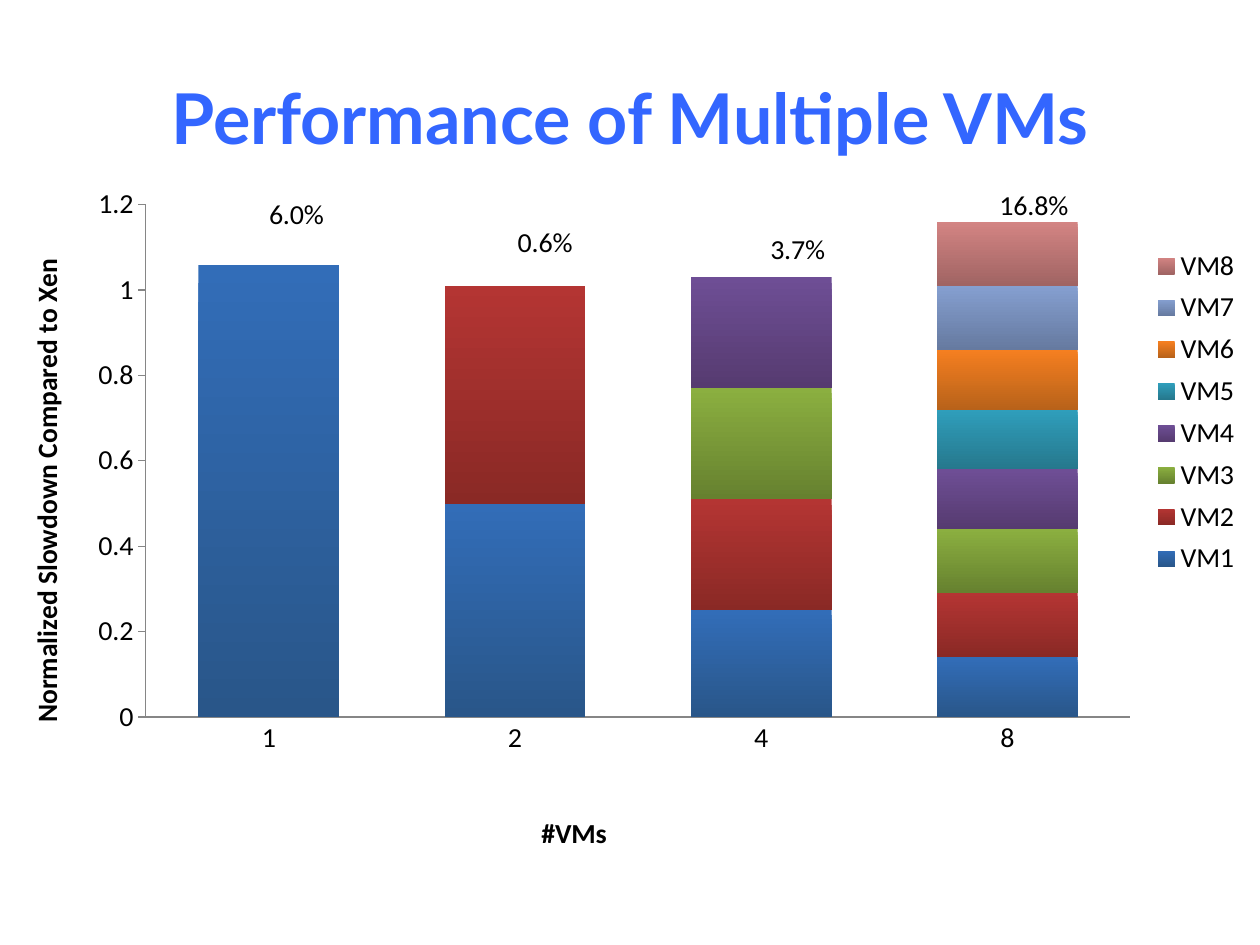
from lxml.etree import SubElement
from pptx import Presentation
from pptx.chart.data import CategoryChartData as ChartData
from pptx.dml.color import RGBColor
from pptx.enum.chart import XL_CHART_TYPE as ChartType
from pptx.enum.chart import XL_LEGEND_POSITION as LegendPosition
from pptx.enum.chart import XL_TICK_MARK as TickMark
from pptx.enum.text import MSO_ANCHOR as Anchor, PP_ALIGN as Align
from pptx.oxml import parse_xml
from pptx.oxml.ns import nsdecls, qn
from pptx.util import Inches, Pt

BLACK = RGBColor(0x00, 0x00, 0x00)
TITLE_BLUE = RGBColor(0x33, 0x66, 0xFF)
AXIS_GRAY = RGBColor(0x86, 0x86, 0x86)

VM_COUNTS = [1, 2, 4, 8]
# One row per VM: slowdown share for each VM count, top and bottom gradient colours
VM_SERIES = [
    ([1.06, 0.5, 0.25, 0.14], "326DB8", "295689"),
    ([0, 0.51, 0.26, 0.15], "B43533", "8A2925"),
    ([0, 0, 0.26, 0.15], "8BAF40", "66812F"),
    ([0, 0, 0.26, 0.14], "6E4E95", "563B70"),
    ([0, 0, 0, 0.14], "2F9EBB", "26788D"),
    ([0, 0, 0, 0.14], "F57F20", "B8621A"),
    ([0, 0, 0, 0.15], "859FD0", "667AA0"),
    ([0, 0, 0, 0.15], "D38483", "A06463"),
]
# Overhead text and its shift from the centre of the VM2 segment
OVERHEAD_LABELS = [
    ("6.0%", 0.022, -0.073),
    ("0.6%", 0.024, -0.225),
    ("3.7%", 0.029, -0.452),
    ("16.8%", 0.021, -0.623),
]


def set_layout(element, index, **values):
    """Give a chart part a manual layout, as fractions of the chart."""
    for old_layout in element.findall(qn("c:layout")):
        element.remove(old_layout)
    layout = parse_xml(f"<c:layout {nsdecls('c')}><c:manualLayout/></c:layout>")
    for tag, value in values.items():
        SubElement(layout[0], qn(f"c:{tag}")).set("val", str(value))
    element.insert(index, layout)


class SlideBuilder:
    title_font = "Lato"
    chart_font = "Calibri"
    title_size = Pt(40)
    chart_size = Pt(16)

    def __init__(self, slide):
        self.slide = slide

    def style_font(self, font, bold=False):
        font.name = self.chart_font
        font.size = self.chart_size
        font.bold = bold
        font.color.rgb = BLACK

    def add_title(self, text, left, top, width, height):
        shape = self.slide.shapes.add_textbox(left, top, width, height)
        text_frame = shape.text_frame
        text_frame.word_wrap = True
        text_frame.vertical_anchor = Anchor.MIDDLE
        text_frame.text = text
        paragraph = text_frame.paragraphs[0]
        paragraph.alignment = Align.CENTER
        font = paragraph.runs[0].font
        font.name, font.size, font.bold = self.title_font, self.title_size, True
        font.color.rgb = TITLE_BLUE

    def add_stacked_chart(self, left, top, width, height):
        data = ChartData()
        data.categories = VM_COUNTS
        for number, (values, _, _) in enumerate(VM_SERIES, 1):
            data.add_series(f"VM{number}", values)
        chart = self.slide.shapes.add_chart(
            ChartType.COLUMN_STACKED, left, top, width, height, data
        ).chart
        chart.has_title = False
        self.style_font(chart.font)
        plot = chart.plots[0]
        plot.gap_width, plot.overlap = 75, 100
        plot.vary_by_categories = False
        for series, (_, top_color, bottom_color) in zip(plot.series, VM_SERIES):
            fill = series.format.fill
            fill.gradient()
            fill.gradient_angle = 270
            for stop, color in zip(fill.gradient_stops, (top_color, bottom_color)):
                stop.color.rgb = RGBColor.from_string(color)
        set_layout(
            chart.element.xpath(".//c:plotArea")[0], 0, layoutTarget="inner",
            xMode="edge", yMode="edge", x=0.113, y=0.044, w=0.784, h=0.762,
        )
        return chart

    def style_axis(self, axis, title, tick_mark, x, y):
        axis.has_major_gridlines = False
        axis.major_tick_mark = tick_mark
        axis.minor_tick_mark = TickMark.NONE
        axis.format.line.color.rgb = AXIS_GRAY
        axis.format.line.width = Pt(0.75)
        self.style_font(axis.tick_labels.font)
        text_frame = axis.axis_title.text_frame
        text_frame.text = title
        self.style_font(text_frame.paragraphs[0].runs[0].font, bold=True)
        set_layout(axis.axis_title.element, 1, xMode="edge", yMode="edge", x=x, y=y)

    def add_legend(self, chart):
        chart.has_legend = True
        chart.legend.position = LegendPosition.RIGHT
        chart.legend.include_in_layout = False
        self.style_font(chart.legend.font)
        set_layout(
            chart.element.xpath(".//c:legend")[0], 1,
            xMode="edge", yMode="edge", x=0.908, y=0.098, w=0.082, h=0.51,
        )

    def add_overhead_labels(self, chart):
        series = chart.plots[0].series[1]
        for index, (text, _, _) in enumerate(OVERHEAD_LABELS):
            text_frame = series.points[index].data_label.text_frame
            text_frame.text = text
            self.style_font(text_frame.paragraphs[0].runs[0].font)
        labels = chart.element.xpath(".//c:dLbl")
        for label, (_, x, y) in zip(labels, OVERHEAD_LABELS):
            set_layout(label, 1, x=x, y=y)
        for leader_lines in chart.element.xpath(".//c:showLeaderLines"):
            leader_lines.set("val", "0")


def main():
    presentation = Presentation()
    presentation.slide_width = Inches(10)
    presentation.slide_height = Inches(7.5)
    builder = SlideBuilder(presentation.slides.add_slide(presentation.slide_layouts[6]))

    # Title
    builder.add_title(
        "Performance of Multiple VMs", Inches(0.5), Inches(0.3), Inches(9), Inches(1.25)
    )

    # Stacked columns
    chart = builder.add_stacked_chart(
        Inches(0.03), Inches(1.39), Inches(9.97), Inches(5.43)
    )

    # Axes
    builder.style_axis(chart.category_axis, "#VMs", TickMark.NONE, 0.424, 0.943)
    value_axis = chart.value_axis
    builder.style_axis(
        value_axis, "Normalized Slowdown Compared to Xen", TickMark.OUTSIDE, 0.015, 0.129
    )
    value_axis.minimum_scale, value_axis.maximum_scale = 0, 1.2
    value_axis.major_unit = 0.2

    # Legend and overhead labels
    builder.add_legend(chart)
    builder.add_overhead_labels(chart)

    presentation.save("out.pptx")


if __name__ == "__main__":
    main()
